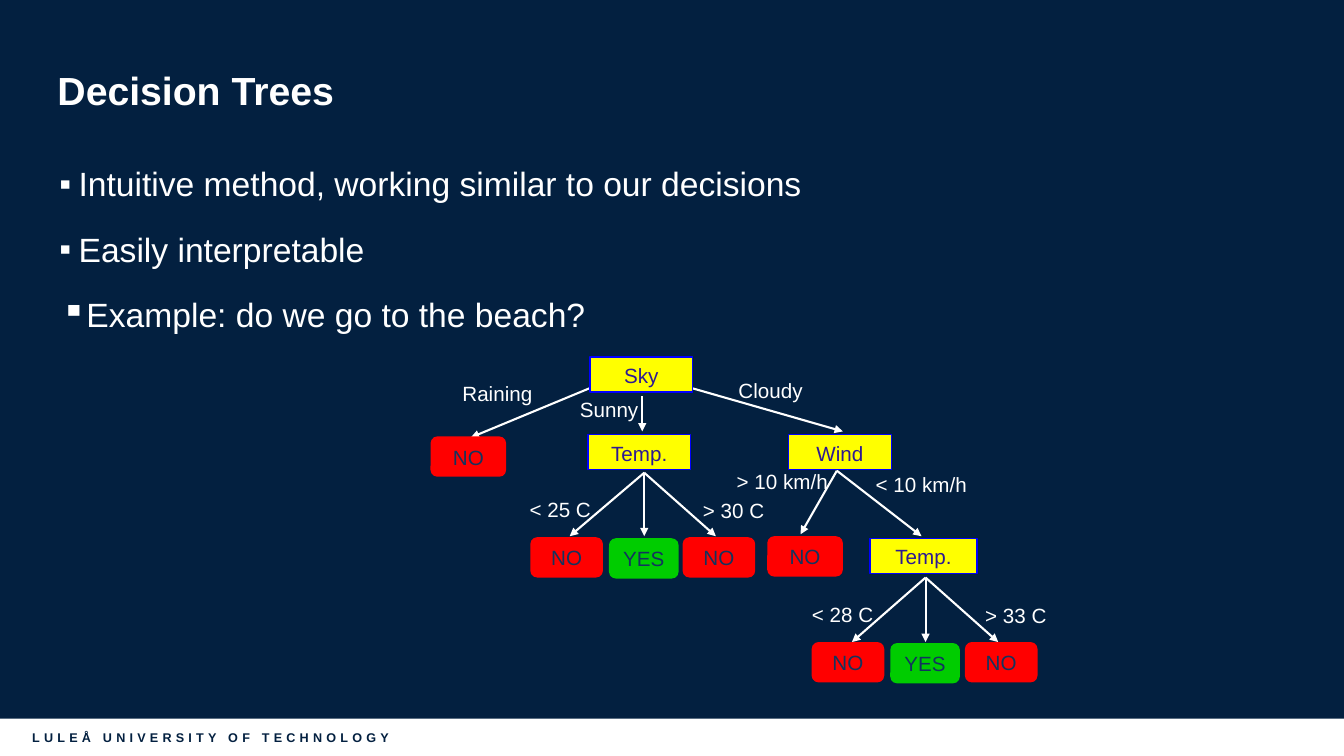
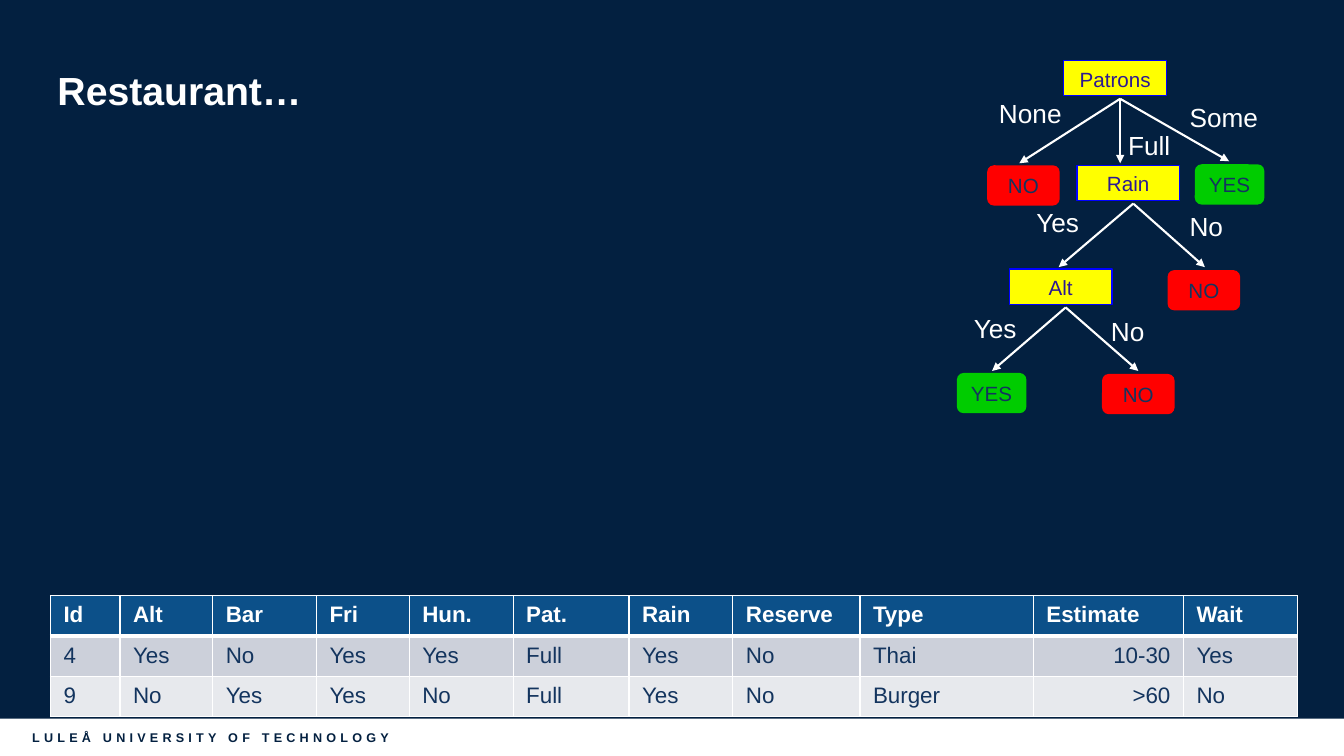
"""Build two slides on decision trees: a beach example and a restaurant example."""
from lxml import etree
from pptx import Presentation
from pptx.dml.color import RGBColor
from pptx.enum import shapes, text
from pptx.oxml import ns
from pptx.util import Inches, Pt

NAVY = RGBColor(0x03, 0x20, 0x40)
WHITE = RGBColor(0xFF, 0xFF, 0xFF)
YELLOW = RGBColor(0xFF, 0xFF, 0x00)
BLUE = RGBColor(0x00, 0x00, 0xFF)
INDIGO = RGBColor(0x2D, 0x19, 0x93)
RED = RGBColor(0xFF, 0x00, 0x00)
GREEN = RGBColor(0x00, 0xCC, 0x00)
INK = RGBColor(0x13, 0x34, 0x5E)
HEADER = RGBColor(0x0C, 0x50, 0x89)
BAND_DARK = RGBColor(0xCC, 0xD0, 0xDA)
BAND_LIGHT = RGBColor(0xE7, 0xE9, 0xED)

LEAF_FILLS = {"NO": RED, "YES": GREEN}
LEFT, CENTER, RIGHT = text.PP_ALIGN.LEFT, text.PP_ALIGN.CENTER, text.PP_ALIGN.RIGHT


def style(p, size, color, bold=False, align=LEFT):
    p.font.name = "Arial"
    p.font.size = Pt(size)
    p.font.bold = bold
    p.font.color.rgb = color
    p.alignment = align


def draw_tree(s, fans, nodes, labels, label_size, label_height, label_align):
    for x, y, ends in fans:
        for end_x, end_y in ends:
            arrow = s.shapes.add_connector(
                shapes.MSO_CONNECTOR.STRAIGHT,
                Inches(x), Inches(y), Inches(end_x), Inches(end_y))
            arrow.line.color.rgb = WHITE
            arrow.line.width = Pt(1.5)
            etree.SubElement(arrow.line._get_or_add_ln(), ns.qn("a:tailEnd"), type="triangle")
            etree.SubElement(arrow._element.spPr, ns.qn("a:effectLst"))

    for name, x, y, w in nodes:
        leaf = name in LEAF_FILLS
        kind = shapes.MSO_SHAPE.ROUNDED_RECTANGLE if leaf else shapes.MSO_SHAPE.RECTANGLE
        sp = s.shapes.add_shape(
            kind, Inches(x), Inches(y), Inches(w), Inches(0.4 if leaf else 0.35))
        sp.shadow.inherit = False
        sp.fill.solid()
        sp.fill.fore_color.rgb = LEAF_FILLS.get(name, YELLOW)
        if leaf:
            sp.adjustments[0] = 0.17
            sp.line.fill.background()
        else:
            sp.line.color.rgb = BLUE
            sp.line.width = Pt(1)
        tf = sp.text_frame
        tf.text = name
        tf.vertical_anchor = text.MSO_ANCHOR.TOP
        tf.margin_top = Inches(0.06)
        tf.margin_bottom = 0
        style(tf.paragraphs[0], 14.7, INK if leaf else INDIGO, align=CENTER)

    for label, x, y, w in labels:
        sp = s.shapes.add_textbox(Inches(x), Inches(y), Inches(w), Inches(label_height))
        tf = sp.text_frame
        tf.text = label
        tf.word_wrap = False
        style(tf.paragraphs[0], label_size, WHITE, align=label_align)


prs = Presentation()
prs.slide_width, prs.slide_height = Inches(13.33), Inches(7.5)
master = prs.slide_master
master.background.fill.solid()
master.background.fill.fore_color.rgb = NAVY

beach = prs.slides.add_slide(prs.slide_layouts[1])
restaurant = prs.slides.add_slide(prs.slide_layouts[5])

band = beach.shapes.add_shape(
    shapes.MSO_SHAPE.RECTANGLE, 0, Inches(7.13), prs.slide_width, Inches(0.38))
band.shadow.inherit = False
band.fill.solid()
band.fill.fore_color.rgb = WHITE
band.line.fill.background()
tf = band.text_frame
tf.margin_left = Inches(0.32)
tf.vertical_anchor = text.MSO_ANCHOR.MIDDLE
p = tf.paragraphs[0]
r = p.add_run()
r.text = "LULEÅ UNIVERSITY OF TECHNOLOGY"
r._r.get_or_add_rPr().set("spc", "300")
style(p, 9, NAVY, bold=True)
band.element.nvSpPr.cNvPr.set("id", "20")
master.element.cSld.spTree.append(band.element)

for s, title in ((beach, "Decision Trees"), (restaurant, "Restaurant…")):
    sp = s.shapes.title
    sp.left, sp.top, sp.width, sp.height = Inches(0.47), Inches(0.26), Inches(12.39), Inches(1.32)
    tf = sp.text_frame
    tf.text = title
    tf.auto_size = text.MSO_AUTO_SIZE.NONE
    tf.vertical_anchor = text.MSO_ANCHOR.MIDDLE
    p = tf.paragraphs[0]
    p.line_spacing = 0.9
    style(p, 28, WHITE, bold=True)

body = beach.placeholders[1]
body.left, body.top, body.width, body.height = Inches(0.47), Inches(1.57), Inches(12.37), Inches(1.32)
body.text_frame.text = "Intuitive method, working similar to our decisions\nEasily interpretable"
body.text_frame.auto_size = text.MSO_AUTO_SIZE.NONE
question = beach.shapes.add_textbox(Inches(0.46), Inches(2.85), Inches(12.37), Inches(0.56))
tf = question.text_frame
tf.text = "Example: do we go to the beach?"
tf.word_wrap = True
tf.margin_left = tf.margin_right = Inches(0.13)
tf.margin_top = tf.margin_bottom = Inches(0.07)
for sp, space in ((body, 18), (question, 0)):
    for p in sp.text_frame.paragraphs:
        style(p, 24, WHITE)
        p.space_before = Pt(space)
        pPr = p._p.get_or_add_pPr()
        pPr.set("marL", str(Inches(0.21)))
        pPr.set("indent", str(Inches(-0.19)))
        bullet = etree.Element(ns.qn("a:buChar"), char="▪")
        pPr.find(ns.qn("a:spcBef")).addnext(bullet)

beach_fans = [
    (5.9, 3.83, [(4.67, 4.34)]),
    (6.37, 3.93, [(6.37, 4.28)]),
    (6.79, 3.83, [(8.36, 4.28)]),
    (6.39, 4.69, [(5.65, 5.32), (6.39, 5.32), (7.1, 5.32)]),
    (8.3, 4.67, [(7.94, 5.3), (9.14, 5.32)]),
    (9.18, 5.73, [(8.45, 6.37), (9.18, 6.37), (9.9, 6.37)]),
]
beach_nodes = [
    ("Sky", 5.85, 3.54, 1.02),
    ("NO", 4.27, 4.33, 0.75),
    ("Temp.", 5.83, 4.31, 1.02),
    ("Wind", 7.82, 4.31, 1.02),
    ("NO", 5.26, 5.33, 0.72),
    ("YES", 6.04, 5.34, 0.69),
    ("NO", 6.77, 5.33, 0.72),
    ("NO", 7.61, 5.32, 0.75),
    ("Temp.", 8.63, 5.34, 1.06),
    ("NO", 8.05, 6.37, 0.72),
    ("YES", 8.83, 6.38, 0.69),
    ("NO", 9.57, 6.37, 0.72),
]
beach_labels = [
    ("Raining", 4.48, 3.73, 0.9),
    ("Sunny", 5.65, 3.89, 0.78),
    ("Cloudy", 7.22, 3.7, 0.84),
    ("< 25 C", 5.14, 4.88, 0.82),
    ("> 30 C", 6.86, 4.89, 0.82),
    ("> 10 km/h", 7.2, 4.6, 1.11),
    ("< 10 km/h", 8.58, 4.63, 1.11),
    ("< 28 C", 7.94, 5.92, 0.82),
    ("> 33 C", 9.66, 5.93, 0.82),
]
draw_tree(beach, beach_fans, beach_nodes, beach_labels, 14.7, 0.35, RIGHT)

columns = [
    ("Id", 0.69), ("Alt", 0.92), ("Bar", 1.03), ("Fri", 0.92), ("Hun.", 1.03), ("Pat.", 1.15),
    ("Rain", 1.03), ("Reserve", 1.26), ("Type", 1.72), ("Estimate", 1.49), ("Wait", 1.13),
]
rows = [
    [name for name, width in columns],
    ["4", "Yes", "No", "Yes", "Yes", "Full", "Yes", "No", "Thai", "10-30", "Yes"],
    ["9", "No", "Yes", "Yes", "No", "Full", "Yes", "No", "Burger", ">60", "No"],
]
table = restaurant.shapes.add_table(
    len(rows), len(columns), Inches(0.5), Inches(5.91), Inches(12.37), Inches(1.2)).table
for column, (name, width) in zip(table.columns, columns):
    column.width = Inches(width)
for i, (values, fill) in enumerate(zip(rows, (HEADER, BAND_DARK, BAND_LIGHT))):
    table.rows[i].height = Inches(0.4)
    borders = {"lnL": 1, "lnR": 1, "lnT": 3 if i == 1 else 1, "lnB": 3 if i == 0 else 1}
    for j, value in enumerate(values):
        cell = table.cell(i, j)
        cell.text = value
        cell.margin_left = cell.margin_right = Inches(0.13)
        cell.margin_top = cell.margin_bottom = Inches(0.07)
        cell.fill.solid()
        cell.fill.fore_color.rgb = fill
        align = RIGHT if i and columns[j][0] == "Estimate" else LEFT
        style(cell.text_frame.paragraphs[0], 16, INK if i else WHITE, bold=i == 0, align=align)
        tcPr = cell._tc.get_or_add_tcPr()
        for k, (side, points) in enumerate(borders.items()):
            ln = etree.Element(ns.qn("a:" + side), w=str(Pt(points)))
            solid = etree.SubElement(ln, ns.qn("a:solidFill"))
            etree.SubElement(solid, ns.qn("a:srgbClr"), val=str(WHITE))
            tcPr.insert(k, ln)

restaurant_fans = [
    (11.11, 0.98, [(10.11, 1.62), (11.11, 1.62), (12.19, 1.6)]),
    (11.24, 2.02, [(10.5, 2.65), (11.95, 2.65)]),
    (10.57, 3.05, [(9.84, 3.68), (11.29, 3.68)]),
]
restaurant_nodes = [
    ("Patrons", 10.55, 0.6, 1.02),
    ("NO", 9.79, 1.64, 0.72),
    ("Rain", 10.68, 1.64, 1.02),
    ("YES", 11.85, 1.63, 0.69),
    ("Alt", 10.01, 2.67, 1.02),
    ("NO", 11.58, 2.68, 0.72),
    ("YES", 9.49, 3.7, 0.69),
    ("NO", 10.93, 3.71, 0.72),
]
restaurant_labels = [
    ("None", 9.81, 0.92, 0.83),
    ("Full", 11.09, 1.23, 0.62),
    ("Some", 11.7, 0.96, 0.89),
    ("Yes", 10.18, 2, 0.63),
    ("No", 11.7, 2.04, 0.54),
    ("Yes", 9.56, 3.05, 0.63),
    ("No", 10.92, 3.08, 0.54),
]
draw_tree(restaurant, restaurant_fans, restaurant_nodes, restaurant_labels, 18.7, 0.42, LEFT)

prs.save("out.pptx")
